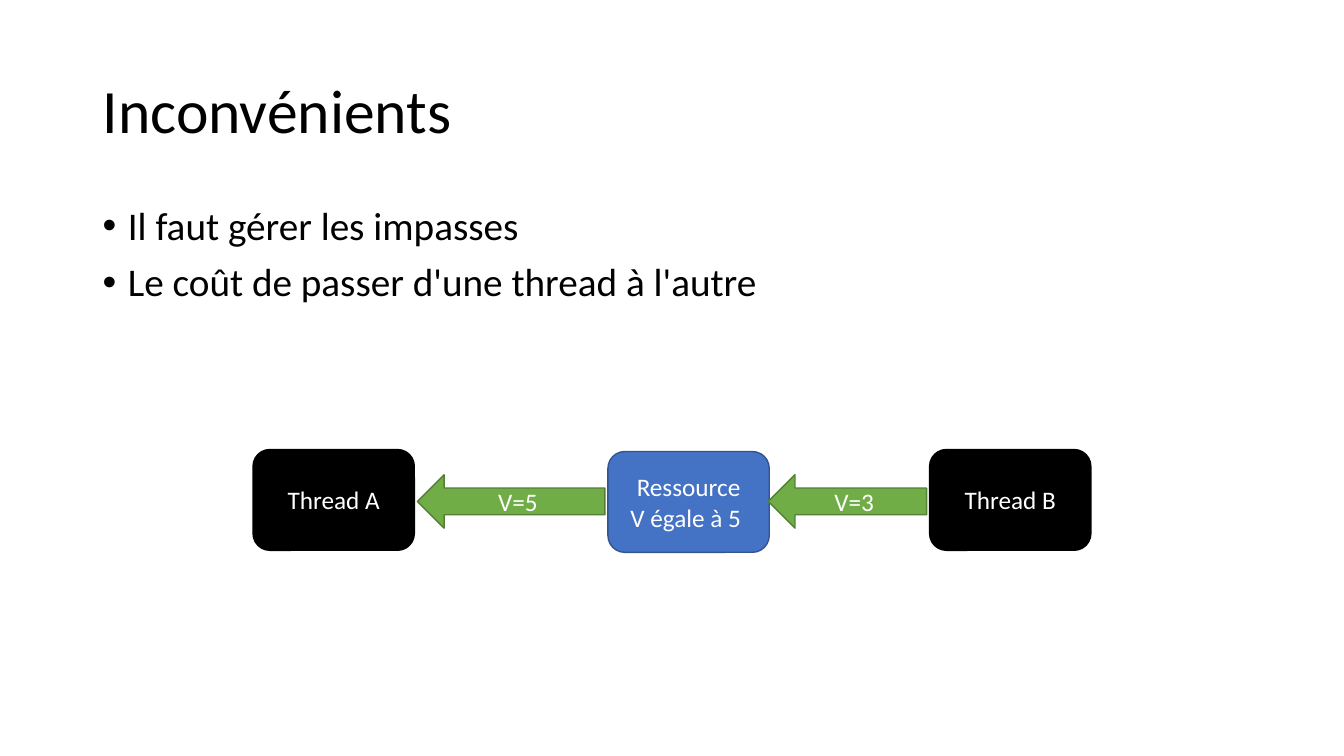
from lxml.etree import SubElement
from pptx import Presentation
from pptx.dml.color import RGBColor
from pptx.enum.shapes import MSO_SHAPE
from pptx.enum.text import MSO_ANCHOR, PP_ALIGN
from pptx.oxml.ns import qn
from pptx.util import Inches, Pt

BLACK = RGBColor(0x00, 0x00, 0x00)
WHITE = RGBColor(0xFF, 0xFF, 0xFF)
BLUE = RGBColor(0x44, 0x72, 0xC4)
NAVY = RGBColor(0x32, 0x54, 0x91)
GREEN = RGBColor(0x70, 0xAD, 0x47)
MOSS = RGBColor(0x53, 0x80, 0x35)


def put(item, style):
    for name, value in style.items():
        setattr(item, name, value)


class Deck:
    font = {"name": "Calibri"}
    body = {"line_spacing": 0.9}
    label = {"alignment": PP_ALIGN.CENTER}

    def __init__(self):
        self.prs = Presentation()
        put(self.prs, {"slide_width": Inches(13.33), "slide_height": Inches(7.5)})
        self.slide = self.prs.slides.add_slide(self.prs.slide_layouts[6])

    def fill_in(self, shape, lines, size, color, style, anchor):
        frame = shape.text_frame
        put(frame, {"word_wrap": True, "vertical_anchor": anchor})
        frame.text = "\n".join(lines)
        for para in frame.paragraphs:
            put(para, style)
            for run in para.runs:
                put(run.font, {**self.font, "size": Pt(size)})
                run.font.color.rgb = color
        return frame.paragraphs

    def text(self, box, lines, size, anchor, **style):
        shape = self.slide.shapes.add_textbox(*map(Inches, box))
        return self.fill_in(shape, lines, size, BLACK, {**self.body, **style}, anchor)

    def list(self, box, lines, size):
        for para in self.text(box, lines, size, MSO_ANCHOR.TOP, space_before=Pt(10)):
            props = para._p.get_or_add_pPr()
            props.set("marL", str(Inches(0.25)))
            props.set("indent", str(Inches(-0.25)))
            SubElement(props, qn("a:buFont"), typeface="Arial")
            SubElement(props, qn("a:buChar"), char="•")

    def shape(self, kind, box, lines, fill, edge):
        shape = self.slide.shapes.add_shape(kind, *map(Inches, box))
        shape.shadow.inherit = False
        shape.fill.solid()
        shape.fill.fore_color.rgb = fill
        shape.line.color.rgb = edge
        shape.line.width = Pt(1)
        self.fill_in(shape, lines, 18, WHITE, self.label, MSO_ANCHOR.MIDDLE)

    def node(self, left, top, lines, fill, edge):
        self.shape(MSO_SHAPE.ROUNDED_RECTANGLE, (left, top, 1.6, 1), lines, fill, edge)

    def arrow(self, left, width, label):
        self.shape(MSO_SHAPE.LEFT_ARROW, (left, 4.71, width, 0.53), [label], GREEN, MOSS)


deck = Deck()
deck.text((0.92, 0.4, 11.5, 1.45), ["Inconvénients"], 44, MSO_ANCHOR.MIDDLE)
deck.list(
    (0.92, 2, 11.5, 4.76),
    ["Il faut gérer les impasses", "Le coût de passer d'une thread à l'autre"],
    28,
)
deck.node(6.03, 4.48, ["Ressource", "V égale à 5 "], BLUE, NAVY)
for left, width, label in ((7.62, 1.57, "V=3"), (4.14, 1.86, "V=5")):
    deck.arrow(left, width, label)
for left, label in ((9.22, "Thread B"), (2.51, "Thread A")):
    deck.node(left, 4.46, [label], BLACK, BLACK)
deck.prs.save("out.pptx")
